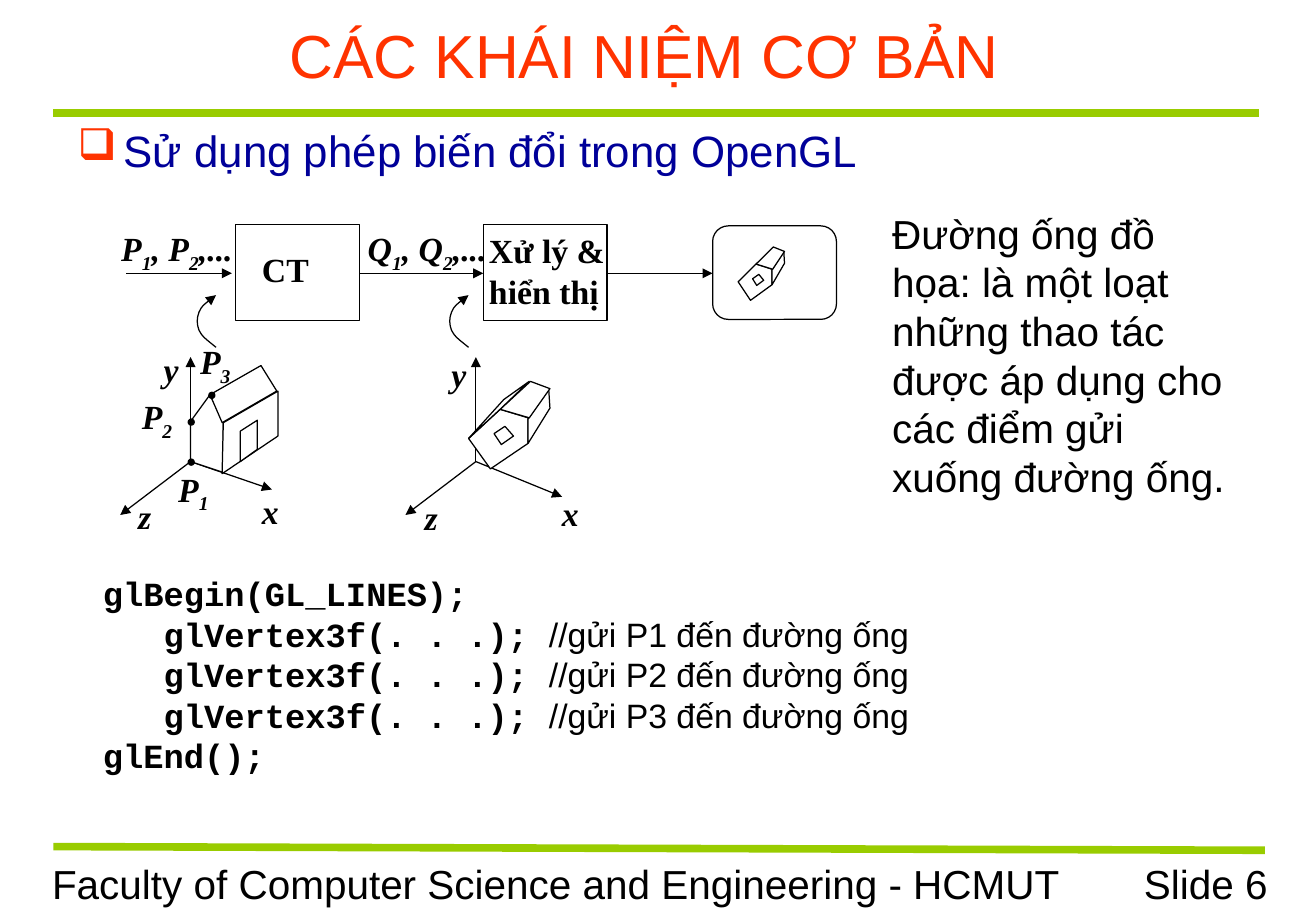
from lxml.etree import SubElement
from pptx import Presentation
from pptx.dml.color import RGBColor
from pptx.enum.shapes import MSO_CONNECTOR as Connector, MSO_SHAPE as Shape
from pptx.enum.text import MSO_ANCHOR as Anchor, PP_ALIGN as Align
from pptx.oxml.ns import qn
from pptx.util import Inches, Pt

BLACK = RGBColor(0, 0, 0)
WHITE = RGBColor(255, 255, 255)
GREEN = RGBColor(0x99, 0xCC, 0x00)
ORANGE = RGBColor(0xFF, 0x33, 0x00)
NAVY = RGBColor(0x00, 0x00, 0x99)

HOUSE = [
    [(0, -0.33), (0, 0), (0.27, 0.09), (0.27, -0.33), (0.16, -0.55)],
    [(0.27, -0.32), (0.72, -0.58), (0.72, -0.21), (0.26, 0.1)],
    [(0.16, -0.55), (0.58, -0.79), (0.71, -0.58), (0.26, -0.32)],
    [(0.41, -0.25), (0.55, -0.34), (0.55, -0.1), (0.41, 0)],
]
TURNED_HOUSE = [
    [(0, 0), (0.26, -0.24), (0.49, -0.17), (0.49, 0.04), (0.18, 0.25)],
    [(0.49, -0.16), (0.66, -0.41), (0.67, -0.25), (0.49, 0.04)],
    [(0.26, -0.24), (0.51, -0.47), (0.67, -0.41), (0.5, -0.17)],
    [(0.27, 0.05), (0.37, -0.02), (0.3, -0.1), (0.21, -0.04)],
]
TURNED_ROOF_BACK = [(0, 0), (0.29, -0.32), (0.5, -0.47), (0.26, -0.24)]
BENT_ARROW = [(0.16, 0.43), (0.1, 0.38), (0.04, 0.34), (0.02, 0.29), (0, 0.24),
              (0, 0.19), (0.02, 0.14), (0.04, 0.09), (0.13, 0.02), (0.16, 0)]


def style_run(span, size, font="Arial", color=BLACK, bold=False, italic=False):
    span.font.size, span.font.name = Pt(size), font
    span.font.color.rgb = color
    span.font.bold, span.font.italic = bold, italic


def add_box(slide, left, top, width, height):
    box = slide.shapes.add_textbox(*map(Inches, (left, top, width, height)))
    box.text_frame.word_wrap = True
    return box


def add_text(slide, area, text, size, color=BLACK, align=Align.LEFT, before=0):
    box = add_box(slide, *area)
    para = box.text_frame.paragraphs[0]
    para.text = text
    para.alignment, para.space_before = align, Pt(before)
    style_run(para.runs[0], size, color=color)
    return box


def add_label(slide, left, top, parts, italic=True):
    para = add_box(slide, left, top, 1.6, 0.44).text_frame.paragraphs[0]
    for index, part in enumerate(parts):
        span = para.add_run()
        span.text = part
        style_run(span, 20, "Times New Roman", bold=True, italic=italic)
        if index % 2:
            span.font._element.set("baseline", "-25000")


def add_arrowhead(shape):
    SubElement(shape.element.find(".//" + qn("a:ln")), qn("a:tailEnd"), type="triangle")


def add_line(slide, start, end, color=BLACK, width=0.75, arrow=True):
    line = slide.shapes.add_connector(Connector.STRAIGHT, *map(Inches, (*start, *end)))
    line.line.color.rgb, line.line.width = color, Pt(width)
    if arrow:
        add_arrowhead(line)
    SubElement(line.element.spPr, qn("a:effectLst"))


def outline(shape, fill=WHITE):
    shape.shadow.inherit = False
    if fill is None:
        shape.fill.background()
    else:
        shape.fill.solid()
        shape.fill.fore_color.rgb = fill
    shape.line.color.rgb, shape.line.width = BLACK, Pt(0.75)


def add_shape(slide, kind, left, top, width, height, fill=WHITE):
    shape = slide.shapes.add_shape(kind, *map(Inches, (left, top, width, height)))
    outline(shape, fill)


def add_outline(slide, left, top, points, scale=(1, 1), close=True):
    spots = [(Inches(left + x * scale[0]), Inches(top + y * scale[1])) for x, y in points]
    builder = slide.shapes.build_freeform(*spots[0])
    builder.add_line_segments(spots[1:], close=close)
    shape = builder.convert_to_shape()
    outline(shape, WHITE if close else None)
    return shape


def add_bent_arrow(slide, left, top):
    arrow = add_outline(slide, left, top, BENT_ARROW, close=False)
    steps = arrow.element.findall(".//" + qn("a:lnTo"))
    track = steps[0].getparent()
    for first in range(0, len(steps), 3):
        curve = SubElement(track, qn("a:cubicBezTo"))
        for step in steps[first:first + 3]:
            curve.append(step[0])
            track.remove(step)
    add_arrowhead(arrow)


def add_house(slide, left, top, faces, scale=(1, 1)):
    for face in faces:
        add_outline(slide, left, top, face, scale)


def add_axes(slide, left, top, x_end):
    for dx, dy in [(0, -0.86), x_end, (-0.58, 0.44)]:
        add_line(slide, (left, top), (left + dx, top + dy))


def add_header(slide, left, top, width):
    title = add_text(slide, (left, top, width, 0.7), "CÁC KHÁI NIỆM CƠ BẢN", 36,
                     ORANGE, Align.CENTER)
    title.text_frame.vertical_anchor = Anchor.MIDDLE
    add_line(slide, (left + 0.11, top + 0.83), (left + width + 0.08, top + 0.83),
             GREEN, 4.5, False)
    topic = add_text(slide, (left + 0.21, top + 0.87, width - 0.21, 0.62),
                     "Sử dụng phép biến đổi trong OpenGL", 26, NAVY, before=6.5)
    settings = topic.text_frame.paragraphs[0]._p.get_or_add_pPr()
    settings.set("marL", str(Inches(0.38)))
    settings.set("indent", str(Inches(-0.38)))
    SubElement(SubElement(settings, qn("a:buClr")), qn("a:srgbClr"), val=str(ORANGE))
    SubElement(settings, qn("a:buChar"), char="❑")


def add_footer(slide, left, top):
    add_line(slide, (left + 0.11, top), (left + 10.09, top + 0.03), GREEN, 4.5, False)
    add_text(slide, (left, top + 0.05, 8.52, 0.5),
             "Faculty of Computer Science and Engineering - HCMUT", 24, before=15)
    add_text(slide, (left + 8.22, top + 0.05, 1.99, 0.5), "Slide 6", 24,
             align=Align.RIGHT, before=15)


def add_pipeline(slide, left, top):
    middle = top + 0.4
    for offset in (0.9, 2.94):
        add_shape(slide, Shape.RECTANGLE, left + offset, top, 1.02, 0.79)
    add_shape(slide, Shape.ROUNDED_RECTANGLE, left + 4.83, top + 0.01, 1.02, 0.77)
    for start, end in [(0, 0.87), (1.92, 2.94), (3.96, 4.83)]:
        add_line(slide, (left + start, middle), (left + end, middle))
    add_house(slide, left + 5.04, top + 0.47, TURNED_HOUSE, (0.57, 0.61))
    add_label(slide, left - 0.14, top - 0.02, ["P", "1", ", P", "2", ",..."])
    add_label(slide, left + 1.89, top - 0.02, ["Q", "1", ", Q", "2", ",..."])
    add_label(slide, left + 1.02, top + 0.15, ["CT"], italic=False)
    for row, words in enumerate(["Xử lý &", "hiển thị"]):
        add_label(slide, left + 2.89, top - 0.01 + row * 0.34, [words], italic=False)


def add_house_scene(slide, left, top):
    add_axes(slide, left, top, (0.67, 0.23))
    add_house(slide, left, top, HOUSE)
    for x, y in [(0, 0), (0, -0.33), (0.17, -0.55)]:
        add_shape(slide, Shape.OVAL, left + x - 0.02, top + y - 0.02, 0.05, 0.05, BLACK)
    for x, y, parts in [(0.49, 0.19, "x"), (-0.32, -0.98, "y"), (-0.53, 0.23, "z"),
                        (-0.2, 0.01, "P1"), (-0.5, -0.59, "P2"), (-0.02, -1.04, "P3")]:
        add_label(slide, left + x, top + y, parts)
    add_bent_arrow(slide, left + 0.05, top - 1.37)


def add_turned_scene(slide, left, top):
    add_axes(slide, left, top, (0.71, 0.29))
    add_house(slide, left - 0.06, top - 0.19, TURNED_HOUSE + [TURNED_ROOF_BACK])
    for x, y, name in [(0.61, 0.21, "x"), (-0.3, -0.94, "y"), (-0.52, 0.24, "z")]:
        add_label(slide, left + x, top + y, name)
    add_bent_arrow(slide, left - 0.22, top - 1.37)


def add_code(slide, left, top, width):
    frame = add_box(slide, left, top, width, 1.77).text_frame
    vertices = [("\tglVertex3f(. . .); ", f"//gửi P{number} đến đường ống")
                for number in (1, 2, 3)]
    lines = [("glBegin(GL_LINES);",), *vertices, ("glEnd();",)]
    for index, parts in enumerate(lines):
        para = frame.add_paragraph() if index else frame.paragraphs[0]
        for part, font in zip(parts, ("Courier New", "Arial")):
            span = para.add_run()
            span.text = part
            style_run(span, 20, font, bold=font == "Courier New")


def main():
    deck = Presentation()
    deck.slide_width, deck.slide_height = Inches(10.84), Inches(7.5)
    slide = deck.slides.add_slide(deck.slide_layouts[6])
    add_header(slide, 0.33, 0.1, 9.96)
    add_pipeline(slide, 1.04, 1.85)
    add_house_scene(slide, 1.57, 3.8)
    add_turned_scene(slide, 3.92, 3.8)
    add_text(slide, (7.25, 1.67, 3, 2.5),
             "Đường ống đồ họa: là một loạt những thao tác được áp dụng "
             "cho các điểm gửi xuống đường ống.", 24, before=15)
    add_code(slide, 0.75, 4.67, 9.17)
    add_footer(slide, 0.33, 6.97)
    deck.save("out.pptx")


if __name__ == "__main__":
    main()
